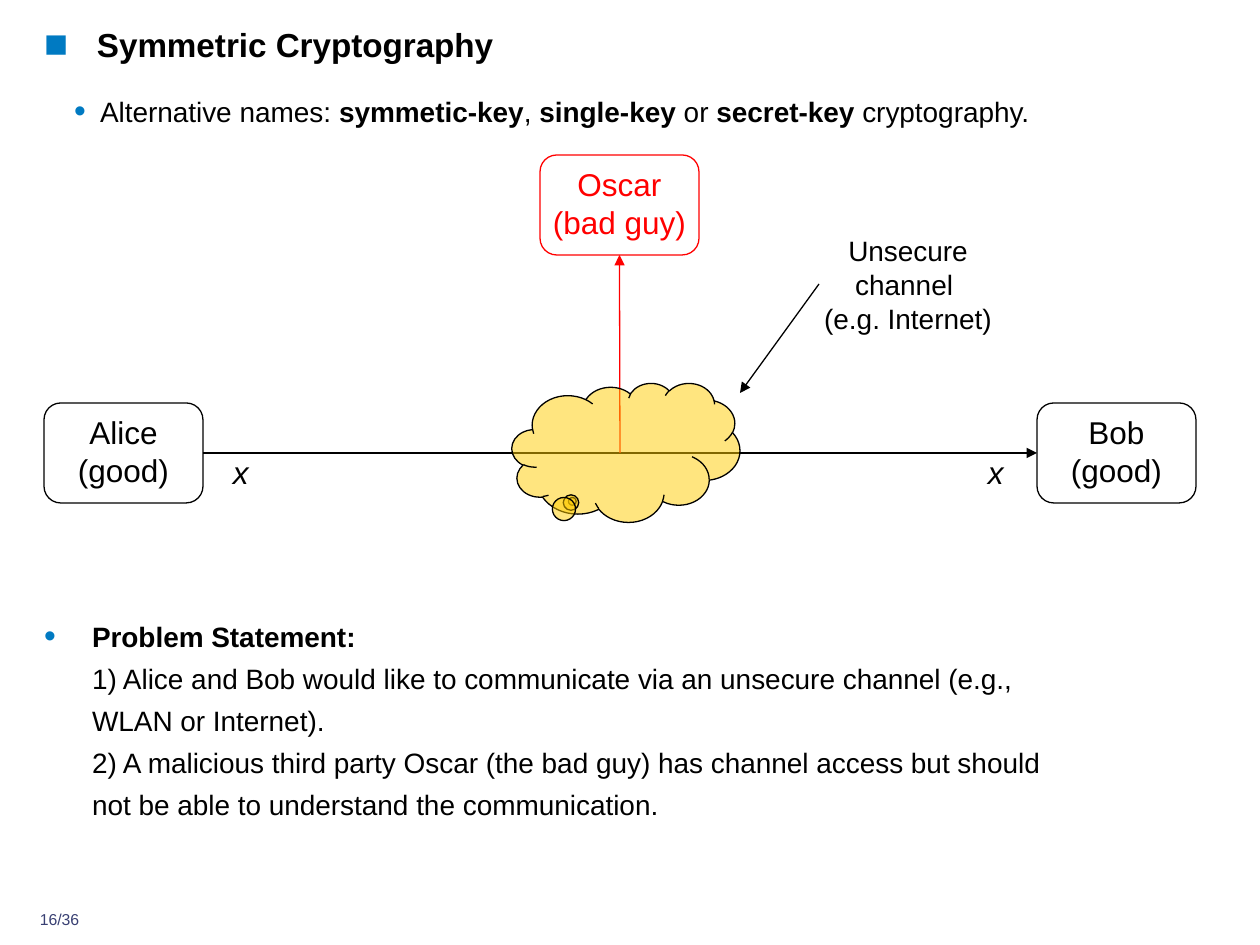
from lxml import etree
from pptx import Presentation
from pptx.dml.color import RGBColor
from pptx.enum.shapes import MSO_CONNECTOR, MSO_SHAPE
from pptx.enum.text import MSO_ANCHOR, PP_ALIGN
from pptx.oxml.ns import qn
from pptx.util import Pt

STRAIGHT = MSO_CONNECTOR.STRAIGHT
ROUNDED = MSO_SHAPE.ROUNDED_RECTANGLE
CLOUD = MSO_SHAPE.CLOUD_CALLOUT
TOP = MSO_ANCHOR.TOP
LEFT, CENTER = PP_ALIGN.LEFT, PP_ALIGN.CENTER
SCALE = 914400 / 126
FONT = "Arial"
COLORS = {"text": "000000", "bullet": "007AC2", "attacker": "FF0000",
          "cloud": "FFCC00", "page": "394073"}


def px(n):
    return round(n * SCALE)


def rgb(name):
    return RGBColor.from_string(COLORS[name])


def sub(parent, tag, **attrs):
    return etree.SubElement(parent, qn(tag), attrs)


def add_bullet(p, char, indent):
    pPr = p._p.get_or_add_pPr()
    pPr.set("marL", str(px(indent)))
    pPr.set("indent", str(-px(indent)))
    sub(sub(pPr, "a:buClr"), "a:srgbClr", val=COLORS["bullet"])
    sub(pPr, "a:buSzPct", val="120000")
    sub(pPr, "a:buFont", typeface=FONT)
    sub(pPr, "a:buChar", char=char)


def add_text(slide, box, runs, size, color="text", align=LEFT, wrap=True,
             bullet=None, spacing=None):
    tf = slide.shapes.add_textbox(*map(px, box)).text_frame
    frame = {"margin_left": 0, "margin_top": 0, "margin_right": 0,
             "margin_bottom": 0, "word_wrap": wrap, "vertical_anchor": TOP}
    for name, value in frame.items():
        setattr(tf, name, value)
    p = tf.paragraphs[0]
    if bullet:
        add_bullet(p, *bullet)
    p.alignment = align
    if spacing:
        p.line_spacing = spacing
    for text, style in runs:
        for i, line in enumerate(text.split("\n")):
            if i:
                p.add_line_break()
            if line:
                r = p.add_run()
                r.text = line
                r.font.color.rgb = rgb(color)
                for name, value in {"name": FONT, "size": Pt(size), **style}.items():
                    setattr(r.font, name, value)
    p.font.size = Pt(size)


def add_outline(slide, kind, box, color):
    sp = slide.shapes.add_shape(kind, *map(px, box))
    sp.shadow.inherit = False
    sp.fill.background()
    sp.line.color.rgb = rgb(color)
    sp.line.width = Pt(0.75)
    return sp


def add_arrow(slide, start, end, color="text"):
    line = slide.shapes.add_connector(STRAIGHT, *map(px, start + end))
    line.line.color.rgb = rgb(color)
    line.line.width = Pt(0.75)
    sub(line.line._get_or_add_ln(), "a:tailEnd", type="triangle")
    sub(line._element.spPr, "a:effectLst")
    return line


def add_party(slide, box, label, color="text"):
    x, y, w, h = box
    sp = add_outline(slide, ROUNDED, box, color)
    add_text(slide, (x + 10, y + 10, w - 20, h - 24), [(label, {})], 18, color, CENTER)
    return sp


def add_channel(slide, box):
    x, y, w, h = box
    cloud = add_outline(slide, CLOUD, box, "text")
    cloud.adjustments[0] = -0.235
    cloud.adjustments[1] = 0.352
    cloud.fill.solid()
    cloud.fill.fore_color.rgb = rgb("cloud")
    fill = cloud._element.spPr.find(qn("a:solidFill"))
    sub(fill[0], "a:alpha", val="50000")
    add_arrow(slide, (x + 307, y - 99), (x + w - 10 + 10, y + 10))
    add_text(slide, (x + 287, y - 149, 218, 101),
             [("Unsecure channel \n(e.g. Internet)", {})], 16, align=CENTER)


def add_diagram(slide, box):
    x, y, w, h = box
    pw, ph = 159, 100
    base = y + 248
    middle = base + ph // 2
    alice = add_party(slide, (x, base, pw, ph), "Alice\n(good)")
    bob = add_party(slide, (x + w - pw, base, pw, ph), "Bob\n(good)")
    oscar = add_party(slide, (x + (w - pw) // 2, y, pw, ph), "Oscar\n(bad guy)", "attacker")
    message = add_arrow(slide, (x + pw, middle), (x + w - pw, middle))
    message.begin_connect(alice, 3)
    message.end_connect(bob, 1)
    center = x + w // 2
    tap = add_arrow(slide, (center, middle), (center, y + ph), "attacker")
    tap.end_connect(oscar, 2)
    for left in (x + pw + 30, x + w - pw - 49):
        add_text(slide, (left, middle, 15, 38), [("x", {"italic": True})], 18, wrap=False)
    add_channel(slide, (x + 468, y + 228, 228, 139))


def add_heading(slide, box):
    x, y, w, h = box
    bold = {"bold": True}
    add_text(slide, (x, y, w, 71), [("Symmetric Cryptography", bold)], 19,
             bullet=("■", 53))
    names = [("Alternative names: ", {}), ("symmetic-key", bold), (", ", {}),
             ("single-key ", bold), ("or ", {}), ("secret-key ", bold),
             ("cryptography.", {})]
    add_text(slide, (x + 30, y + 62, 999, 89), names, 16, bullet=("•", 26), spacing=1.25)


def add_problem(slide, box):
    runs = [("Problem Statement: \n", {"bold": True}),
            ("1) Alice and Bob would like to communicate via an unsecure channel "
             "(e.g., WLAN or Internet). \n2) A malicious third party Oscar (the bad guy) "
             "has channel access but should not be able to understand the "
             "communication.", {})]
    add_text(slide, box, runs, 16, bullet=("•", 48), spacing=1.25)


def main():
    prs = Presentation()
    prs.slide_width, prs.slide_height = px(1260), px(945)
    slide = prs.slides.add_slide(prs.slide_layouts[6])
    add_text(slide, (25, 910, 69, 30), [("16/36", {})], 9, "page", CENTER)
    add_heading(slide, (44, 24, 891, 151))
    add_diagram(slide, (44, 155, 1152, 367))
    add_problem(slide, (44, 611, 999, 212))
    prs.save("out.pptx")


if __name__ == "__main__":
    main()
